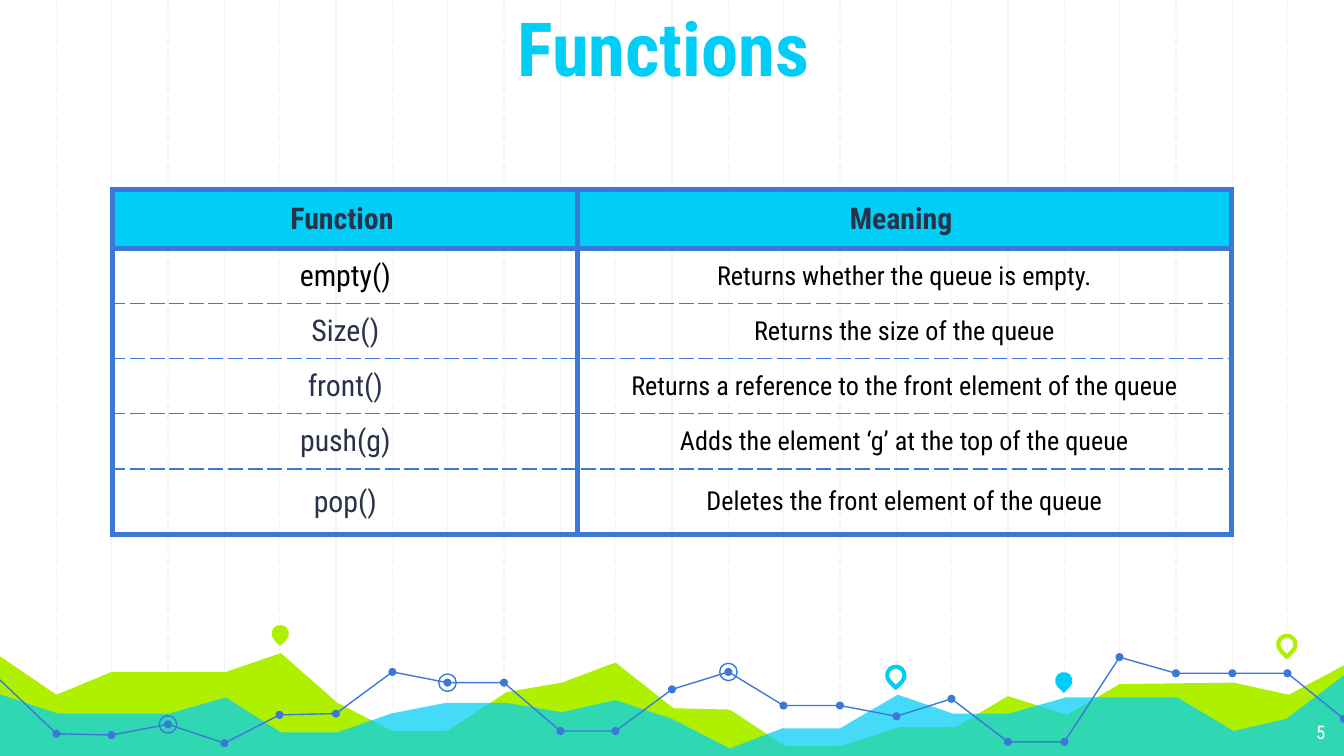
from lxml.etree import SubElement as Sub
from pptx import Presentation
from pptx.dml.color import RGBColor as RGB
from pptx.enum.dml import MSO_LINE as Dash
from pptx.enum.shapes import MSO_CONNECTOR as Conn, MSO_SHAPE as Kind
from pptx.enum.text import MSO_ANCHOR as Anchor, PP_ALIGN as Align
from pptx.oxml.ns import qn
from pptx.util import Pt

PX = 9144  # EMU per px, 100 px to the inch
WIDE = 1000
FONT = "Roboto Condensed"
INK = {"cyan": "00CEF6", "lime": "AFF000", "blue": "3C78D8", "grid": "F3F3F3",
       "navy": "28324A", "black": "000000", "white": "FFFFFF"}

LIME = [(-2, 487), (42, 517), (83, 500), (168, 500), (209, 486), (251, 523),
        (292, 544), (333, 544), (377, 515), (418, 508), (458, 493), (501, 527),
        (543, 528), (584, 555), (626, 555), (670, 541), (711, 541), (750, 518),
        (794, 532), (833, 509), (918, 508), (959, 517), (1002, 494),
        (1001, 564), (-3, 564)]
CYAN = [(-2, 516), (43, 531), (126, 531), (168, 519), (209, 545), (251, 545),
        (291, 531), (332, 523), (376, 523), (418, 530), (458, 521), (500, 535),
        (543, 557), (582, 542), (625, 542), (668, 517), (709, 531), (751, 531),
        (793, 519), (876, 519), (918, 544), (957, 535), (1002, 501),
        (1002, 565), (-3, 565)]
# Height of the blue line at each grid step, from the left edge
TREND = [506, 546, 547, 539, 553, 532, 531, 500, 508, 508, 544, 544, 513,
         500, 525, 525, 533, 520, 552, 552, 489, 501, 501, 501, 535]
PARTS = [(0, 11), (11, 20), (20, 24)]
RINGS = [3, 8, 13]

ROWS = [("Function ", "Meaning "),
        ("empty()", "Returns whether the queue is empty."),
        ("Size()", "Returns the size of the queue"),
        ("front()", "Returns a reference to the front element of the queue"),
        ("push(g)", "Adds the element ‘g’ at the top of the queue"),
        ("pop()", "Deletes the front element of the queue")]
COLS = [346, 486]
TALL = [44, 41, 41, 41, 41, 49]


def rgb(name):
    return RGB.from_string(INK[name])


def grid_x(step):
    return round(step * WIDE / 24)


def paint(shape, fill=None, line=None, width=0.75):
    shape.shadow.inherit = False
    if fill:
        shape.fill.solid()
        shape.fill.fore_color.rgb = rgb(fill)
    else:
        shape.fill.background()
    if line:
        shape.line.color.rgb = rgb(line)
        shape.line.width = Pt(width)
    else:
        shape.line.fill.background()
    return shape


def rule(slide, x, dashed):
    line = slide.shapes.add_connector(Conn.STRAIGHT, x * PX, 0, x * PX, 565 * PX)
    line.line.color.rgb = rgb("grid")
    line.line.width = Pt(0.75)
    if dashed:
        line.line.dash_style = Dash.DASH
    Sub(line._element.spPr, qn("a:effectLst"))


def path(slide, dots, close, **look):
    pen = slide.shapes.build_freeform(*dots[0], scale=PX)
    pen.add_line_segments(dots[1:], close=close)
    return paint(pen.convert_to_shape(), **look)


def disc(slide, x, y, size, **look):
    left, top = round((x - size / 2) * PX), round((y - size / 2) * PX)
    paint(slide.shapes.add_shape(Kind.OVAL, left, top, size * PX, size * PX), **look)


def pin(slide, x, y, **look):
    drop = slide.shapes.add_shape(Kind.TEAR, x * PX, y * PX, 13 * PX, 13 * PX)
    drop.adjustments[0] = 1
    drop.rotation = 135
    paint(drop, width=2.25, **look)


def write(frame, text, size, ink, align, bold=False):
    para = frame.paragraphs[0]
    para.alignment = align
    run = para.add_run()
    run.text = text
    run.font.name = FONT
    run.font.size = Pt(size)
    run.font.bold = bold
    run.font.color.rgb = rgb(ink)


def label(slide, box, anchor, *style, **more):
    frame = slide.shapes.add_textbox(*[n * PX for n in box]).text_frame
    frame.word_wrap = True
    frame.vertical_anchor = anchor
    frame.margin_left = frame.margin_right = 10 * PX
    frame.margin_top = frame.margin_bottom = 10 * PX
    write(frame, *style, **more)


def edge(cell, at, side, thick):
    props = cell._tc.get_or_add_tcPr()
    line = Sub(props, qn("a:ln" + side), w=str(Pt(3 if thick else 0.75)))
    Sub(Sub(line, qn("a:solidFill")), qn("a:srgbClr"), val=INK["blue"])
    Sub(line, qn("a:prstDash"), val="solid" if thick else "dash")
    props.insert(at, line)


def fill_cell(cell, text, row, col):
    head, last = row == 0, row == len(ROWS) - 1
    cell.vertical_anchor = Anchor.MIDDLE
    cell.margin_left = cell.margin_right = 10 * PX
    cell.margin_top = cell.margin_bottom = 7 * PX
    ink = "navy" if head or (col == 0 and row > 1) else "black"
    size = 16 if head or col == 0 else 14
    write(cell.text_frame, text, size, ink, Align.CENTER, head)
    if head:
        cell.fill.solid()
        cell.fill.fore_color.rgb = rgb("cyan")
    else:
        cell.fill.background()
    sides = [("L", True), ("R", True), ("T", row < 2), ("B", head or last)]
    for at, (side, thick) in enumerate(sides):
        edge(cell, at, side, thick)


def add_grid(slide):
    for step in [*range(2, 24, 2), *range(1, 24, 2)]:
        rule(slide, grid_x(step), step % 2 == 1)


def add_hills(slide):
    path(slide, LIME, True, fill="lime")
    hill = path(slide, CYAN, True, fill="cyan")
    tint = hill._element.spPr.find(qn("a:solidFill"))[0]
    Sub(tint, qn("a:alpha"), val="73000")


def add_trend(slide):
    dots = [(grid_x(step), y) for step, y in enumerate(TREND)]
    for start, end in PARTS:
        path(slide, dots[start:end + 1], False, line="blue")
    for x, y in dots[1:]:
        disc(slide, x, y, 6, fill="blue")
    for step in RINGS:
        disc(slide, *dots[step], 13, line="blue")


def add_pins(slide):
    pin(slide, 202, 465, fill="lime")
    pin(slide, 660, 496, line="cyan")
    pin(slide, 785, 500, fill="cyan")
    pin(slide, 951, 473, line="lime")


def add_table(slide):
    box = [n * PX for n in (84, 141, sum(COLS), sum(TALL))]
    table = slide.shapes.add_table(len(ROWS), len(COLS), *box).table
    table.first_row = table.horz_banding = False
    for col, width in zip(table.columns, COLS):
        col.width = width * PX
    for r, texts in enumerate(ROWS):
        table.rows[r].height = TALL[r] * PX
        for c, text in enumerate(texts):
            fill_cell(table.cell(r, c), text, r, c)


def main():
    deck = Presentation()
    deck.slide_width = WIDE * PX
    deck.slide_height = WIDE * PX * 9 // 16  # widescreen
    slide = deck.slides.add_slide(deck.slide_layouts[6])

    # Backdrop
    add_grid(slide)
    add_hills(slide)
    add_trend(slide)
    add_pins(slide)

    # Page number, title and table
    label(slide, (936, 528, 60, 35), Anchor.TOP, "5", 10, "white", Align.RIGHT)
    label(slide, (0, 0, WIDE, 78), Anchor.BOTTOM, "Functions ", 40, "cyan",
          Align.CENTER, bold=True)
    add_table(slide)
    deck.save("out.pptx")


if __name__ == "__main__":
    main()
